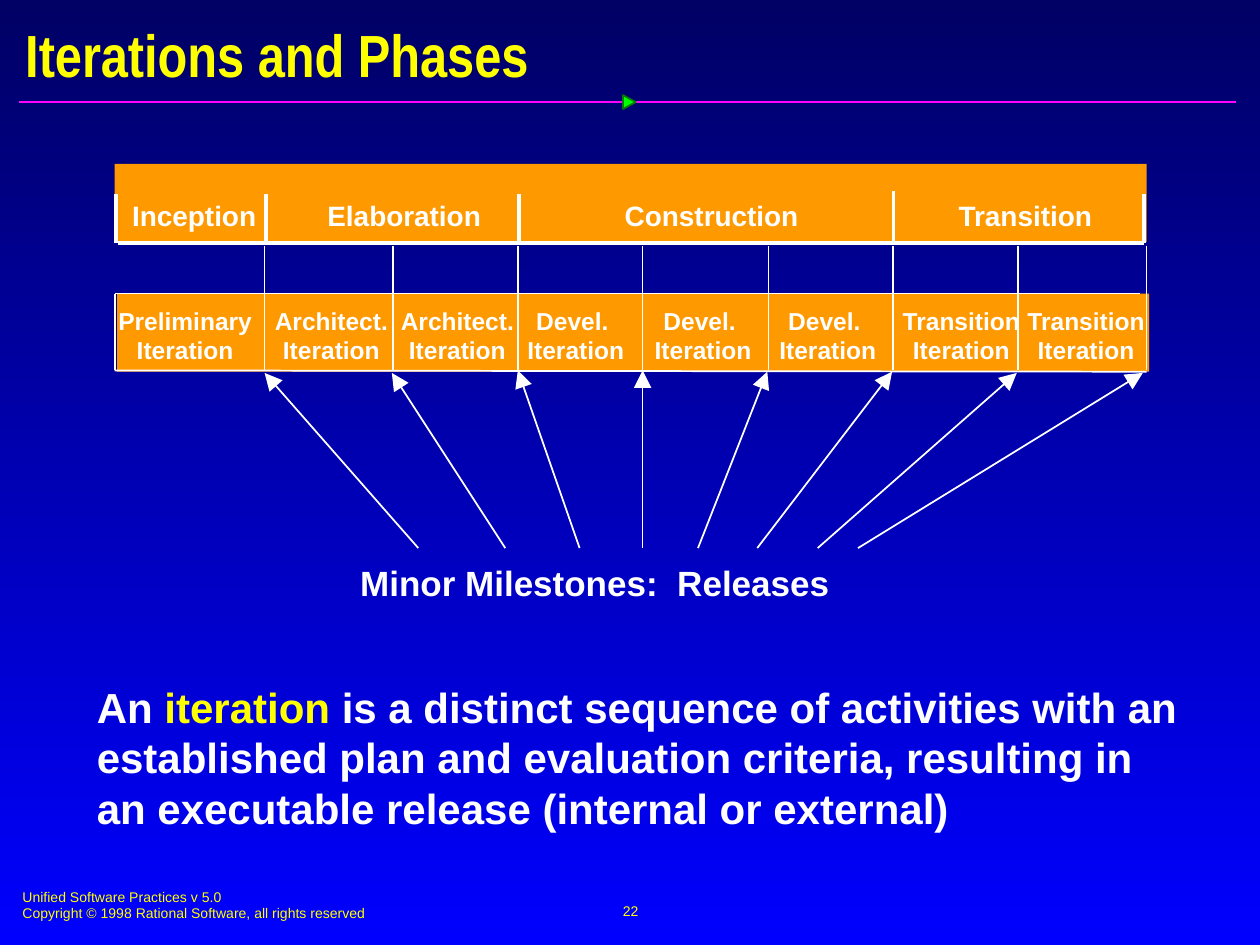
"""Build the slide on iterations and phases, with releases as minor milestones."""
from lxml import etree
from pptx import Presentation
from pptx.dml.color import RGBColor
from pptx.enum.shapes import MSO_CONNECTOR, MSO_SHAPE
from pptx.enum.text import MSO_ANCHOR, MSO_AUTO_SIZE, PP_ALIGN
from pptx.oxml.ns import qn
from pptx.util import Inches, Pt

STRAIGHT = MSO_CONNECTOR.STRAIGHT
RECTANGLE, TRIANGLE = MSO_SHAPE.RECTANGLE, MSO_SHAPE.ISOSCELES_TRIANGLE
TOP, MIDDLE = MSO_ANCHOR.TOP, MSO_ANCHOR.MIDDLE
LEFT, CENTER = PP_ALIGN.LEFT, PP_ALIGN.CENTER
NO_AUTOFIT = MSO_AUTO_SIZE.NONE

THEME = {
    "background": ("000065", "0000FF"),
    "text": "FFFFFF", "accent": "FFFF00", "bar": "FF9900",
    "rule": "FF01FF", "marker": "00FF00", "marker_line": "037C03",
    "font": "Arial", "title_font": "Arial Narrow",
    "title": 34, "body": 24, "caption": 20, "phase": 16,
    "iteration": 14, "footer": 8,
}

TITLE = "Iterations and Phases"
DEFINITION = [[
    ("An ", "text"),
    ("iteration", "accent"),
    (" is a distinct sequence of activities with an established plan and evaluation "
     "criteria, resulting in an executable release (internal or external)", "text"),
]]
CAPTION = "Minor Milestones:  Releases"
FOOTER = ["Unified Software Practices v 5.0",
          "Copyright © 1998 Rational Software, all rights reserved"]
PAGE_NUMBER = "22"

PHASES = [("Inception", 0.95, 1.19), ("Elaboration", 2.5, 1.42),
          ("Construction", 4.86, 1.58), ("Transition", 7.51, 1.27)]
PHASE_EDGES = [(0.92, 1.54), (2.11, 1.54), (4.12, 1.54), (7.09, 1.52), (9.08, 1.54)]
ITERATIONS = [("Preliminary", 1.47), ("Architect.", 2.63), ("Architect.", 3.63),
              ("Devel. ", 4.57), ("Devel. ", 5.58), ("Devel. ", 6.57),
              ("Transition", 7.63), ("Transition", 8.62)]
ITERATION_EDGES = [2.1, 3.12, 4.11, 5.1, 6.1, 7.09, 8.08, 9.1]
RELEASES = [(3.32, 2.1, 2.96), (4.01, 3.11, 2.96), (4.6, 4.11, 2.94), (5.1, 5.1, 2.94),
            (5.54, 6.09, 2.95), (6.01, 7.08, 2.95), (6.49, 8.07, 2.96), (6.81, 9.07, 2.96)]

BAR_LEFT, BAR_RIGHT, BAR_WIDTH, BAR_HEIGHT = 0.91, 9.1, 8.19, 0.62
PHASE_TOP, PHASE_BOTTOM = 1.3, 1.93
ITERATION_TOP, ITERATION_BOTTOM = 2.33, 2.94
ARROW_START = 4.35
LABEL_WIDTH = 1.12


def color(name):
    return RGBColor.from_string(THEME[name])


def write(shape, paragraphs, size, fill="text", font="font", bold=True,
          align=LEFT, anchor=TOP, wrap=True, side=0.1):
    """Fill a shape with paragraphs, each a string or a list of (text, colour) runs."""
    frame = shape.text_frame
    frame.auto_size = NO_AUTOFIT
    frame.word_wrap = wrap
    frame.vertical_anchor = anchor
    frame.margin_left = frame.margin_right = Inches(side)
    frame.margin_top = frame.margin_bottom = Inches(0.05)
    for index, content in enumerate(paragraphs):
        paragraph = frame.add_paragraph() if index else frame.paragraphs[0]
        paragraph.alignment = align
        runs = [(content, fill)] if isinstance(content, str) else content
        for text, run_color in runs:
            run = paragraph.add_run()
            run.text = text
            run.font.size = Pt(THEME[size])
            run.font.name = THEME[font]
            run.font.bold = bold
            run.font.color.rgb = color(run_color)


def add_text(slide, box, paragraphs, size, **style):
    write(slide.shapes.add_textbox(*map(Inches, box)), paragraphs, size, **style)


def add_filled(slide, kind, box, fill, outline=None):
    shape = slide.shapes.add_shape(kind, *map(Inches, box))
    shape.shadow.inherit = False
    shape.fill.solid()
    shape.fill.fore_color.rgb = color(fill)
    if outline:
        shape.line.color.rgb = color(outline)
        shape.line.width = Pt(1)
    else:
        shape.line.fill.background()
    return shape


def add_line(slide, start, end, fill="text", width=1, arrow=False):
    line = slide.shapes.add_connector(STRAIGHT, *map(Inches, (*start, *end)))
    line.line.color.rgb = color(fill)
    line.line.width = Pt(width)
    properties = line._element.spPr
    if arrow:
        etree.SubElement(properties.find(qn("a:ln")), qn("a:tailEnd"),
                         type="triangle", w="lg", len="lg")
    etree.SubElement(properties, qn("a:effectLst"))


def add_frame(slide):
    fill = slide.background.fill
    fill.gradient()
    fill.gradient_angle = 270
    for stop, position, value in zip(fill.gradient_stops, (0, 1), THEME["background"]):
        stop.position = position
        stop.color.rgb = RGBColor.from_string(value)
    add_line(slide, (0.15, 0.81), (9.81, 0.81), "rule")
    marker = add_filled(slide, TRIANGLE, (4.94, 0.76, 0.11, 0.1), "marker", "marker_line")
    marker.rotation = 90
    add_text(slide, (0.08, 7, 5.1, 0.37), FOOTER, "footer", fill="accent", bold=False)
    add_text(slide, (3.42, 6.98, 3.17, 0.5), [PAGE_NUMBER], "footer", fill="accent",
             bold=False, align=CENTER, anchor=MIDDLE, wrap=False)
    title = slide.shapes.title
    title.left, title.top, title.width, title.height = map(Inches, (0.1, 0.14, 9.84, 0.58))
    write(title, [TITLE], "title", fill="accent", font="title_font", anchor=MIDDLE)


def add_iterations(slide):
    add_filled(slide, RECTANGLE, (0.93, ITERATION_TOP, BAR_WIDTH, BAR_HEIGHT), "bar")
    for name, middle in ITERATIONS:
        add_text(slide, (middle - LABEL_WIDTH / 2, 2.38, LABEL_WIDTH, 0.56),
                 [name, "Iteration"], "iteration", align=CENTER, wrap=False, side=0.09)
    for edge in ITERATION_EDGES:
        add_line(slide, (edge, ITERATION_BOTTOM), (edge, 1.95))
    add_line(slide, (BAR_LEFT, ITERATION_BOTTOM), (BAR_RIGHT, 2.95))
    add_line(slide, (9.05, ITERATION_TOP), (BAR_LEFT, ITERATION_TOP))
    add_line(slide, (BAR_LEFT, ITERATION_TOP), (BAR_LEFT, ITERATION_BOTTOM))


def add_phases(slide):
    add_filled(slide, RECTANGLE, (BAR_LEFT, PHASE_TOP, BAR_WIDTH, BAR_HEIGHT), "bar")
    add_line(slide, (0.94, PHASE_BOTTOM), (9.08, PHASE_BOTTOM), width=2)
    for edge, top in PHASE_EDGES:
        add_line(slide, (edge, PHASE_BOTTOM), (edge, top), width=2)
    for name, left, width in PHASES:
        add_text(slide, (left, 1.53, width, 0.37), [name], "phase", wrap=False)


def add_milestones(slide):
    add_text(slide, (2.76, 4.41, 4.5, 0.44), [CAPTION], "caption")
    for start, tip_left, tip_top in RELEASES:
        add_line(slide, (start, ARROW_START), (tip_left, tip_top), arrow=True)


def main():
    presentation = Presentation()
    presentation.slide_width, presentation.slide_height = Inches(10), Inches(7.5)
    slide = presentation.slides.add_slide(presentation.slide_layouts.get_by_name("Title Only"))
    add_frame(slide)
    add_text(slide, (0.67, 5.36, 8.83, 1.3), DEFINITION, "body")
    add_iterations(slide)
    add_phases(slide)
    add_milestones(slide)
    presentation.save("out.pptx")


if __name__ == "__main__":
    main()
